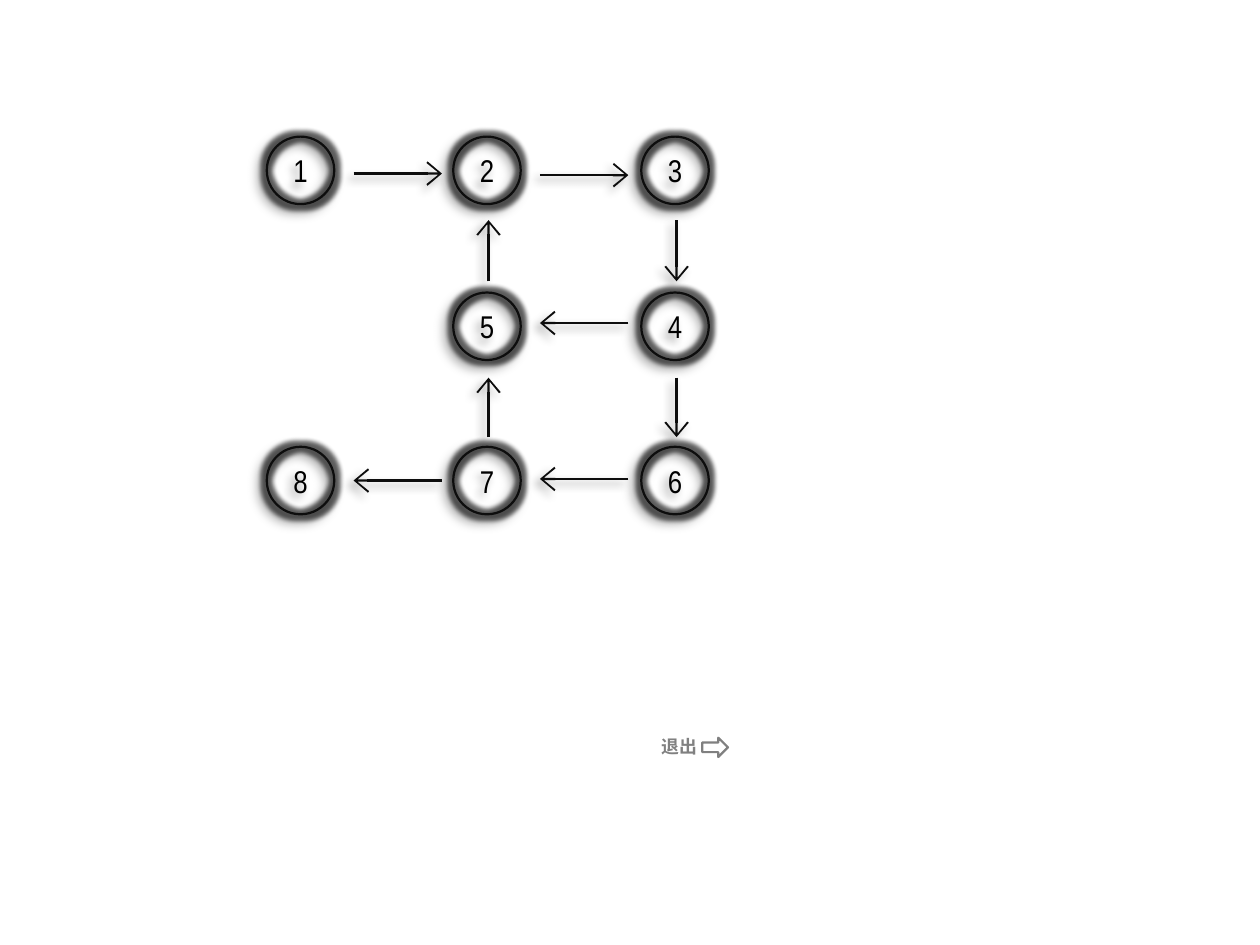
from lxml.etree import SubElement
from pptx import Presentation
from pptx.dml.color import RGBColor
from pptx.enum.shapes import MSO_CONNECTOR, MSO_SHAPE
from pptx.enum.text import MSO_ANCHOR, MSO_AUTO_SIZE, PP_ALIGN
from pptx.oxml.ns import qn
from pptx.util import Inches, Pt

BLACK = RGBColor(0x00, 0x00, 0x00)
INK = RGBColor(0x0D, 0x0D, 0x0D)
GRAY = RGBColor(0x80, 0x80, 0x80)
WHITE = RGBColor(0xFF, 0xFF, 0xFF)

LATIN, CJK = "Arial Narrow", "Noto Sans CJK SC"

DIAMETER = 0.42
COLUMNS = (1.66, 2.82, 3.99)
ROWS = (0.85, 1.82, 2.78)
# Node label: (column, row)
NODES = {"1": (0, 0), "2": (1, 0), "3": (2, 0), "4": (2, 1),
         "5": (1, 1), "6": (2, 2), "7": (1, 2), "8": (0, 2)}

# Spans of the arrows in the gaps between columns and between rows
COLUMN_GAPS = ((2.2, 2.75), (3.36, 3.91))
ROW_GAPS = ((1.37, 1.75), (2.35, 2.72))
# (gap, y, points right)
ACROSS = ((0, 1.08, True), (1, 1.09, True), (1, 2.01, False),
          (1, 2.98, False), (0, 2.99, False))
# (gap, x, points down)
UPRIGHT = ((0, 4.21, True), (0, 3.04, False),
           (1, 4.21, True), (1, 3.04, False))


def add_effect(effects, tag, alpha, **attributes):
    """Add a translucent black effect to an effect list."""
    effect = SubElement(effects, qn(tag), **attributes)
    color = SubElement(effect, qn("a:srgbClr"), val=str(BLACK))
    SubElement(color, qn("a:alpha"), val=str(alpha * 1000))


def add_shadow(effects):
    """Add a soft shadow to the lower left."""
    add_effect(effects, "a:outerShdw", 40, blurRad=str(Pt(4)),
               dist=str(Pt(3)), dir=str(135 * 60000),
               algn="tr", rotWithShape="0")


def set_line(s, color):
    """Give a shape or connector a one-point line."""
    s.line.color.rgb = color
    s.line.width = Pt(1)


def set_text(tf, text, *, size, font, color, bold=False, align=PP_ALIGN.LEFT):
    """Write one formatted run into a text frame."""
    p = tf.paragraphs[0]
    p.alignment = align
    r = p.add_run()
    r.text = text
    r.font.size = Pt(size)
    r.font.name = font
    r.font.bold = bold
    r.font.color.rgb = color
    SubElement(r.font._element, qn("a:ea"), typeface=font)


def add_node(slide, label, left, top):
    """Draw a numbered circle with a dark glow."""
    s = slide.shapes.add_shape(MSO_SHAPE.OVAL, Inches(left), Inches(top),
                               Inches(DIAMETER), Inches(DIAMETER))
    s.fill.background()
    set_line(s, INK)
    s.shadow.inherit = False
    effects = s._element.spPr.find(qn("a:effectLst"))
    add_effect(effects, "a:glow", 60, rad=str(Pt(4)))
    add_shadow(effects)
    tf = s.text_frame
    tf.vertical_anchor = MSO_ANCHOR.MIDDLE
    tf.margin_left = tf.margin_right = Inches(0.08)
    tf.margin_top = tf.margin_bottom = Inches(0.04)
    set_text(tf, label, size=14.1, font=LATIN, color=BLACK,
             align=PP_ALIGN.CENTER)


def add_arrow(slide, start, end):
    """Draw an open-headed arrow from start to end."""
    s = slide.shapes.add_connector(MSO_CONNECTOR.STRAIGHT,
                                   *(Inches(v) for v in (*start, *end)))
    set_line(s, INK)
    SubElement(s.line._get_or_add_ln(), qn("a:tailEnd"), type="arrow", w="lg")
    add_shadow(SubElement(s._element.spPr, qn("a:effectLst")))


def add_exit(slide):
    """Draw the exit label and its block arrow."""
    label = slide.shapes.add_textbox(Inches(4.02), Inches(4.53),
                                     Inches(0.43), Inches(0.24))
    tf = label.text_frame
    tf.word_wrap = False
    tf.auto_size = MSO_AUTO_SIZE.SHAPE_TO_FIT_TEXT
    set_text(tf, "退出", size=8, font=CJK, color=GRAY, bold=True)
    s = slide.shapes.add_shape(MSO_SHAPE.RIGHT_ARROW, Inches(4.37),
                               Inches(4.59), Inches(0.16), Inches(0.12))
    s.fill.solid()
    s.fill.fore_color.rgb = WHITE
    set_line(s, GRAY)
    s.shadow.inherit = False


def main():
    """Build the slide and save it."""
    prs = Presentation()
    prs.slide_width, prs.slide_height = Inches(7.84), Inches(5.88)
    slide = prs.slides.add_slide(prs.slide_layouts[6])
    for label, (column, row) in NODES.items():
        add_node(slide, label, COLUMNS[column], ROWS[row])
    for gap, y, right in ACROSS:
        start, end = COLUMN_GAPS[gap] if right else COLUMN_GAPS[gap][::-1]
        add_arrow(slide, (start, y), (end, y))
    for gap, x, down in UPRIGHT:
        start, end = ROW_GAPS[gap] if down else ROW_GAPS[gap][::-1]
        add_arrow(slide, (x, start), (x, end))
    add_exit(slide)
    prs.save("out.pptx")


main()
